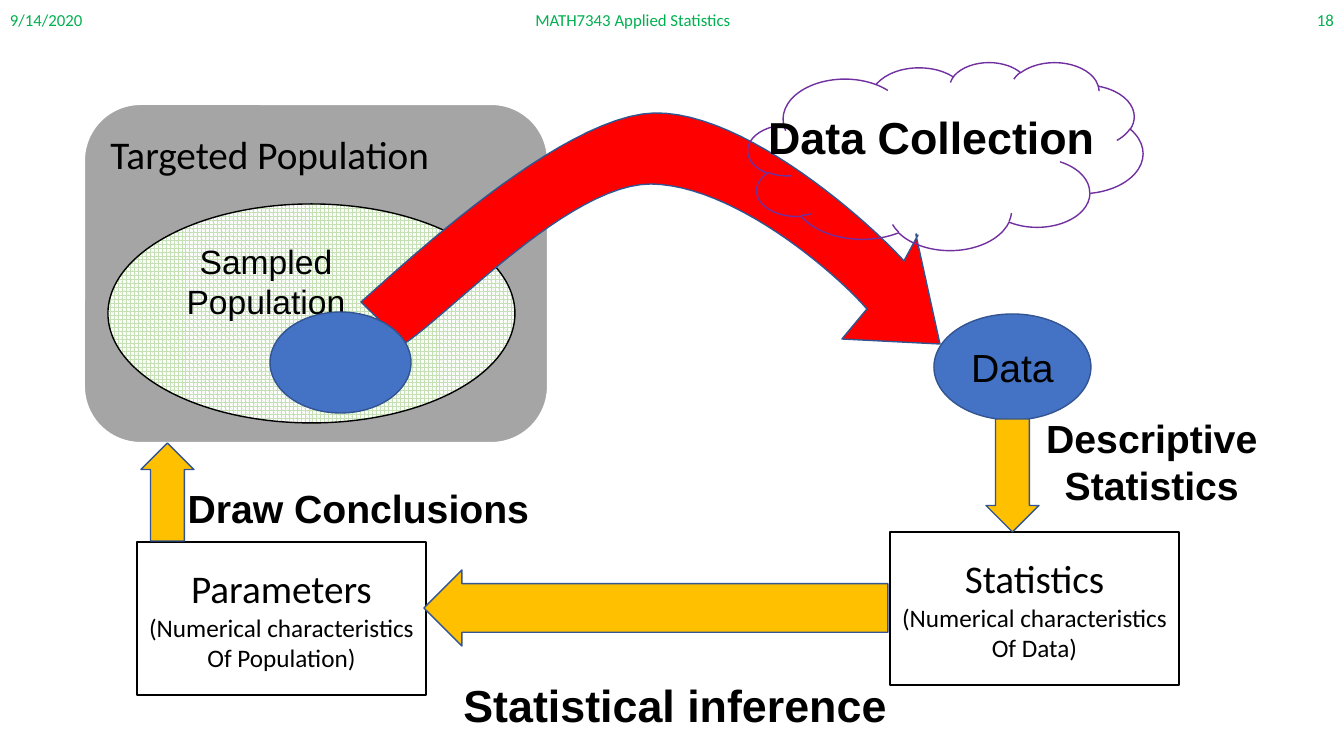
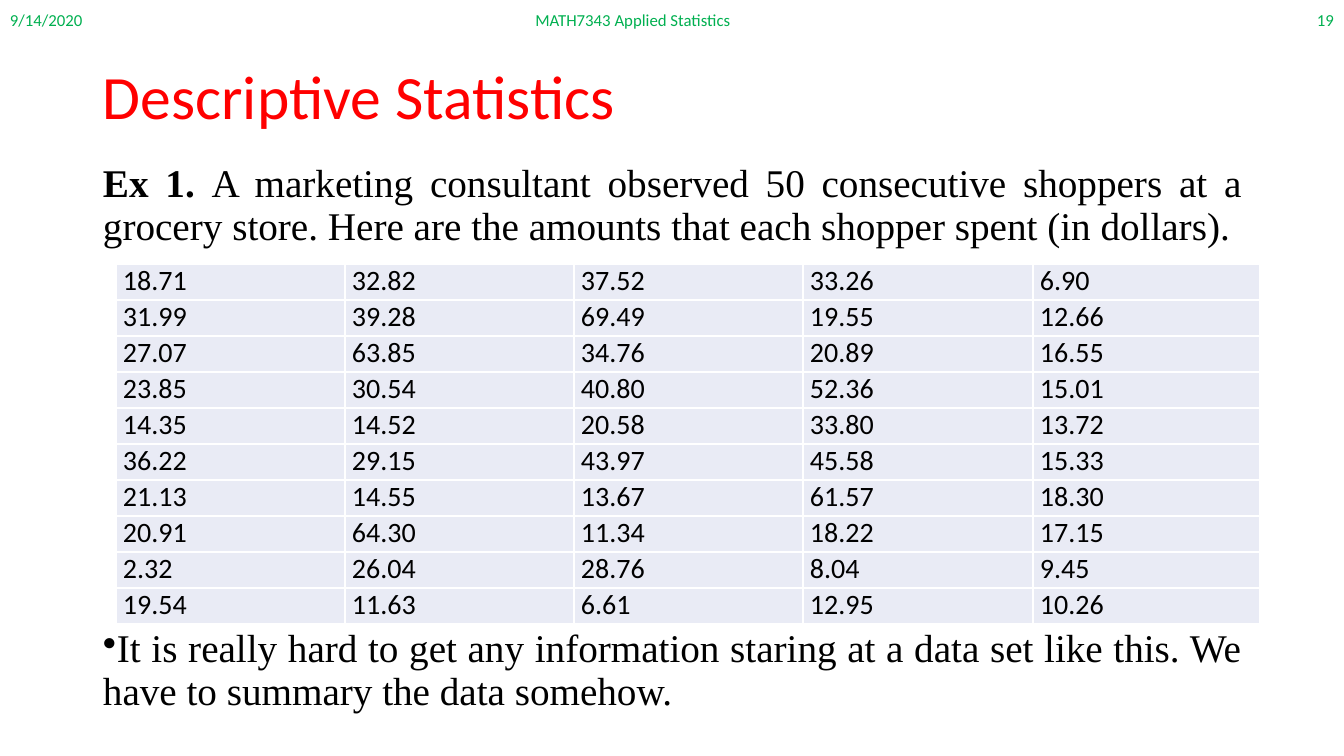
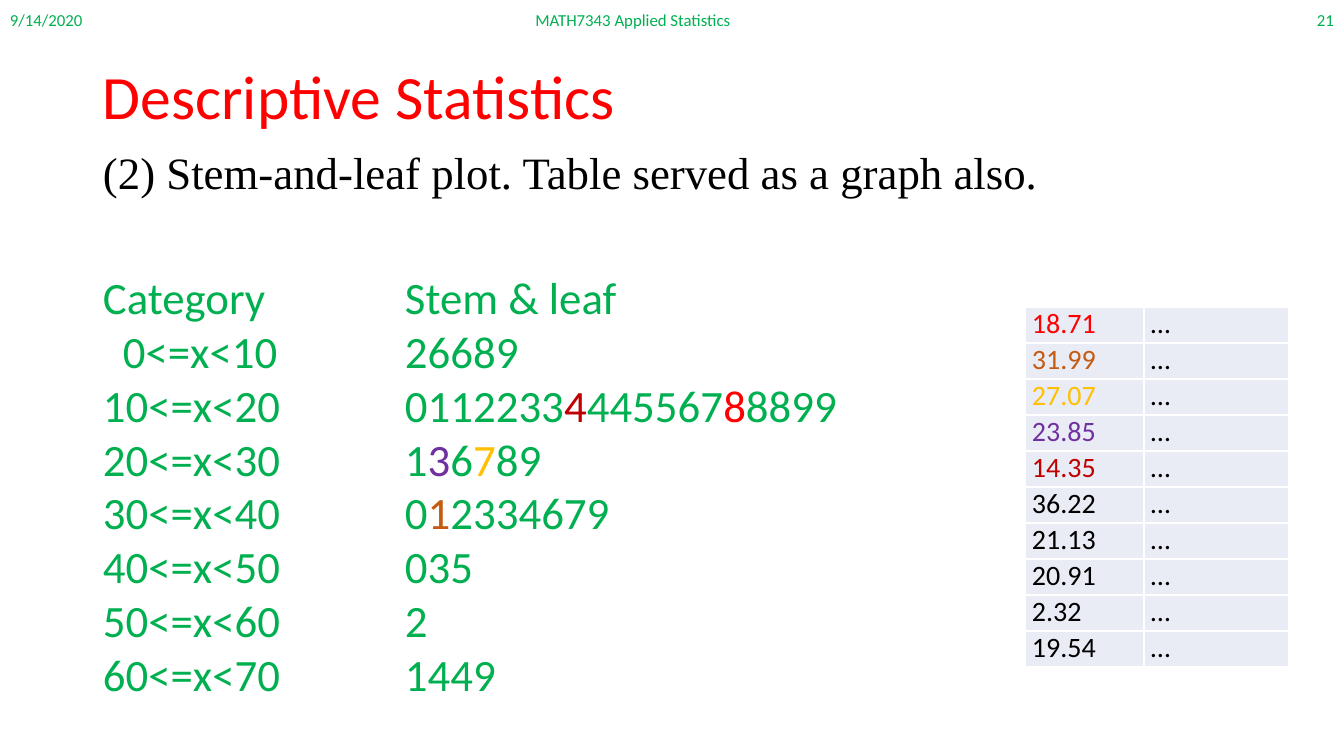
from dataclasses import dataclass
from typing import NamedTuple, Optional, Sequence

from lxml import etree
from pptx import Presentation
from pptx.dml.color import RGBColor
from pptx.enum.dml import MSO_PATTERN
from pptx.enum.shapes import MSO_SHAPE
from pptx.enum.text import MSO_ANCHOR, PP_ALIGN
from pptx.oxml.ns import qn
from pptx.util import Emu, Pt

EMU_PER_PX = 914400 / 100.8
SLIDE_WIDTH, SLIDE_HEIGHT = 1344, 756

LEFT, CENTER, RIGHT, JUSTIFY = PP_ALIGN.LEFT, PP_ALIGN.CENTER, PP_ALIGN.RIGHT, PP_ALIGN.JUSTIFY
TOP, MIDDLE = MSO_ANCHOR.TOP, MSO_ANCHOR.MIDDLE
RECTANGLE, ROUNDED = MSO_SHAPE.RECTANGLE, MSO_SHAPE.ROUNDED_RECTANGLE
ELLIPSE, CLOUD = MSO_SHAPE.OVAL, MSO_SHAPE.CLOUD
UP, DOWN, BACK = MSO_SHAPE.UP_ARROW, MSO_SHAPE.DOWN_ARROW, MSO_SHAPE.LEFT_ARROW
SPHERE = MSO_PATTERN.SPHERE

SANS, ARIAL, SERIF = "Calibri", "Arial", "Times New Roman"
COLORS = {
    "black": "000000",
    "white": "FFFFFF",
    "red": "FF0000",
    "dark red": "C00000",
    "green": "00B050",
    "pale green": "C5E0B4",
    "purple": "7030A0",
    "brown": "C55A11",
    "gold": "FFC000",
    "gray": "A5A5A5",
    "blue": "4472C4",
    "outline": "325491",
    "cell": "E9EBF5",
}


class Box(NamedTuple):
    left: int
    top: int
    width: int
    height: int


class Insets(NamedTuple):
    left: int = 10
    top: int = 5
    right: int = 10
    bottom: int = 5


class Run(NamedTuple):
    text: str
    color: Optional[str] = None
    bold: Optional[bool] = None


@dataclass(frozen=True)
class Line:
    """One paragraph; its runs name only what differs from it."""
    runs: Sequence[Run]
    size: int
    font: str = SANS
    color: str = "black"
    bold: bool = False
    align: PP_ALIGN = LEFT
    spacing: float = 1.0
    indent: int = 0
    bullet: str = ""


@dataclass(frozen=True)
class Node:
    """One preset shape of the diagram."""
    preset: MSO_SHAPE
    box: Box
    fill: Optional[str] = None
    outline: Optional[str] = None
    lines: Sequence[Line] = ()
    outline_width: float = 1
    anchor: MSO_ANCHOR = MIDDLE
    wrap: bool = True
    insets: Insets = Insets()


def px(length: float) -> Emu:
    return Emu(round(length * EMU_PER_PX))


def rgb(name: str) -> RGBColor:
    return RGBColor.from_string(COLORS[name])


def plain(text: str, size: int, **style) -> Line:
    return Line((Run(text),), size, **style)


def place(box: Box) -> list[Emu]:
    return [px(length) for length in box]


def write_lines(frame, lines: Sequence[Line]) -> None:
    for index, line in enumerate(lines):
        paragraph = frame.add_paragraph() if index else frame.paragraphs[0]
        paragraph.alignment = line.align
        paragraph.line_spacing = line.spacing
        font = paragraph.font
        font.name, font.size, font.bold = line.font, Pt(line.size), line.bold
        font.color.rgb = rgb(line.color)
        properties = paragraph._p.get_or_add_pPr()
        properties.set("marL", str(px(line.indent)))
        properties.set("indent", "0")
        if line.bullet:
            bullet = etree.Element(qn("a:buChar"), char=line.bullet)
            properties.find(qn("a:defRPr")).addprevious(bullet)
        for part in line.runs:
            run = paragraph.add_run()
            run.text = part.text
            if part.color:
                run.font.color.rgb = rgb(part.color)
            if part.bold is not None:
                run.font.bold = part.bold


def fill_frame(frame, lines: Sequence[Line], anchor: MSO_ANCHOR = TOP,
               wrap: bool = True, insets: Insets = Insets()) -> None:
    frame.word_wrap = wrap
    frame.vertical_anchor = anchor
    frame.margin_left, frame.margin_top, frame.margin_right, frame.margin_bottom = map(px, insets)
    write_lines(frame, lines)


def add_text(slide, box: Box, lines: Sequence[Line], anchor: MSO_ANCHOR = TOP) -> None:
    fill_frame(slide.shapes.add_textbox(*place(box)).text_frame, lines, anchor)


def style_shape(shape, fill: Optional[str], outline: Optional[str], width: float = 1) -> None:
    shape.shadow.inherit = False
    if fill:
        shape.fill.solid()
        shape.fill.fore_color.rgb = rgb(fill)
    else:
        shape.fill.background()
    if outline:
        shape.line.color.rgb = rgb(outline)
        shape.line.width = Pt(width)
    else:
        shape.line.fill.background()


def add_node(slide, node: Node):
    shape = slide.shapes.add_shape(node.preset, *place(node.box))
    style_shape(shape, node.fill, node.outline, node.outline_width)
    if node.preset in (UP, DOWN, BACK):
        shape.adjustments[0], shape.adjustments[1] = 0.64, 0.5
    if node.lines:
        fill_frame(shape.text_frame, node.lines, node.anchor, node.wrap, node.insets)
    return shape


def curve_points(start, first, second, end, steps: int = 24) -> list[tuple[float, float]]:
    """Points along a cubic Bézier curve, without its start."""
    points = []
    for step in range(1, steps + 1):
        t = step / steps
        weights = ((1 - t) ** 3, 3 * t * (1 - t) ** 2, 3 * t * t * (1 - t), t ** 3)
        corners = (start, first, second, end)
        points.append(tuple(sum(w * c[axis] for w, c in zip(weights, corners)) for axis in (0, 1)))
    return points


def add_curved_arrow(slide, start, segments) -> None:
    """Each segment holds one point for a straight line or three for a curve."""
    points = [start]
    for segment in segments:
        points += curve_points(points[-1], *segment) if len(segment) == 3 else segment
    outline = [(px(x), px(y)) for x, y in points]
    builder = slide.shapes.build_freeform(*outline[0])
    builder.add_line_segments(outline[1:], close=True)
    style_shape(builder.convert_to_shape(), "red", "outline")


def add_cell_borders(cell) -> None:
    properties = cell._tc.get_or_add_tcPr()
    for side in ("lnL", "lnR", "lnT", "lnB"):
        border = etree.SubElement(properties, qn(f"a:{side}"), w=str(Pt(1)))
        paint = etree.SubElement(border, qn("a:solidFill"))
        etree.SubElement(paint, qn("a:srgbClr"), val=COLORS["white"])


def add_data_table(slide, left: int, top: int, widths: Sequence[int],
                   rows: Sequence[Sequence[str]], colors: dict[str, str]) -> None:
    box = Box(left, top, sum(widths), ROW_HEIGHT * len(rows))
    table = slide.shapes.add_table(len(rows), len(widths), *place(box)).table
    table.first_row = table.horz_banding = False
    for column, width in zip(table.columns, widths):
        column.width = px(width)
    for row, values in zip(table.rows, rows):
        row.height = px(ROW_HEIGHT)
        for cell, value in zip(row.cells, values):
            add_cell_borders(cell)
            cell.fill.solid()
            cell.fill.fore_color.rgb = rgb("cell")
            cell.margin_left = cell.margin_right = px(7)
            cell.margin_top = cell.margin_bottom = 0
            color = colors.get(value, "black")
            write_lines(cell.text_frame, [plain(value, 20, color=color, align=JUSTIFY)])


def add_slide(presentation, number: int, title: str = ""):
    slide = presentation.slides.add_slide(presentation.slide_layouts[6])
    headers = (
        (0, 302, "9/14/2020", LEFT),
        (406, 454, "MATH7343 Applied Statistics", CENTER),
        (1042, 302, str(number), RIGHT),
    )
    for left, width, text, align in headers:
        line = plain(text, 12, color="green", align=align)
        add_text(slide, Box(left, 0, width, 40), [line], MIDDLE)
    if title:
        line = plain(title, 44, color="red", spacing=0.9)
        add_text(slide, Box(BODY_LEFT, 40, BODY_WIDTH, 119), [line], MIDDLE)
    return slide


def label(size: int, *texts: str, bold: bool = True) -> list[Line]:
    return [plain(text, size, font=ARIAL, bold=bold, align=CENTER) for text in texts]


def summary(heading: str, *details: str) -> list[Line]:
    return [plain(heading, 28, align=CENTER)] + [plain(text, 18, align=CENTER) for text in details]


BODY_LEFT, BODY_WIDTH = 93, 1159
ROW_HEIGHT = 36

TARGETED = Node(ROUNDED, Box(84, 104, 464, 339), "gray", "white",
                [plain("Targeted Population", 28)], 1.5, TOP, insets=Insets(top=10))
SAMPLED = Node(ELLIPSE, Box(108, 204, 407, 219), "white", "black",
               label(24, "Sampled", "Population", bold=False), anchor=TOP,
               insets=Insets(0, 5, 91, 5))
COLLECTION_START = (361, 302)
COLLECTION_SEGMENTS = (
    ((399, 269), (560, 116), (654, 113)),
    ((747, 111), (874, 227), (904, 261)),
    ((918, 235),),
    ((917, 240), (916, 231), (916, 235)),
    ((940, 344),),
    ((842, 339),),
    ((867, 309),),
    ((834, 271), (733, 185), (651, 184)),
    ((570, 184), (453, 311), (404, 344)),
)
FLOW = (
    Node(ELLIPSE, Box(270, 312, 141, 101), "blue", "outline"),
    Node(CLOUD, Box(748, 62, 395, 188), None, "purple", label(32, "Data Collection"),
         wrap=False, insets=Insets(bottom=35)),
    Node(ELLIPSE, Box(934, 314, 157, 106), "blue", "outline",
         label(28, "Data", bold=False), wrap=False),
    Node(CLOUD, Box(510, 658, 356, 98), lines=label(32, "Statistical inference"), wrap=False),
    Node(RECTANGLE, Box(890, 532, 289, 153), "white", "black",
         summary("Statistics", "(Numerical characteristics", "Of Data)")),
    Node(RECTANGLE, Box(137, 542, 289, 153), "white", "black",
         summary("Parameters", "(Numerical characteristics", "Of Population)")),
    Node(DOWN, Box(986, 419, 53, 113), "gold", "outline"),
    Node(BACK, Box(424, 570, 464, 76), "gold", "outline"),
    Node(UP, Box(141, 443, 53, 98), "gold", "outline"),
    Node(CLOUD, Box(1031, 415, 260, 98), lines=label(28, "Descriptive", "Statistics"), wrap=False),
    Node(CLOUD, Box(193, 461, 356, 98), lines=label(28, "Draw Conclusions"), wrap=False),
)

AMOUNTS = (
    ("18.71", "32.82", "37.52", "33.26", "6.90"),
    ("31.99", "39.28", "69.49", "19.55", "12.66"),
    ("27.07", "63.85", "34.76", "20.89", "16.55"),
    ("23.85", "30.54", "40.80", "52.36", "15.01"),
    ("14.35", "14.52", "20.58", "33.80", "13.72"),
    ("36.22", "29.15", "43.97", "45.58", "15.33"),
    ("21.13", "14.55", "13.67", "61.57", "18.30"),
    ("20.91", "64.30", "11.34", "18.22", "17.15"),
    ("2.32", "26.04", "28.76", "8.04", "9.45"),
    ("19.54", "11.63", "6.61", "12.95", "10.26"),
)
HIGHLIGHTS = {
    "18.71": "red",
    "31.99": "brown",
    "27.07": "gold",
    "23.85": "purple",
    "14.35": "dark red",
}
STEMS = (
    ("Category", [Run("Stem & leaf")]),
    ("0<=x<10", [Run("26689")]),
    ("10<=x<20", [Run("0112233"), Run("4", "dark red"), Run("445567"), Run("8", "red"),
                  Run("8899")]),
    ("20<=x<30", [Run("1"), Run("3", "purple"), Run("6"), Run("7", "gold"), Run("89")]),
    ("30<=x<40", [Run("0"), Run("1", "brown"), Run("2334679")]),
    ("40<=x<50", [Run("035")]),
    ("50<=x<60", [Run("2")]),
    ("60<=x<70", [Run("1449")]),
)


def add_process_slide(presentation) -> None:
    slide = add_slide(presentation, 18)
    add_node(slide, TARGETED)
    sampled = add_node(slide, SAMPLED)
    sampled.fill.patterned()
    sampled.fill.pattern = SPHERE
    sampled.fill.fore_color.rgb = rgb("pale green")
    sampled.fill.back_color.rgb = rgb("white")
    add_curved_arrow(slide, COLLECTION_START, COLLECTION_SEGMENTS)
    for node in FLOW:
        add_node(slide, node)


def add_example_slide(presentation) -> None:
    slide = add_slide(presentation, 19, "Descriptive Statistics")
    style = {"size": 28, "font": SERIF, "align": JUSTIFY, "spacing": 0.9}
    example = Line((
        Run("Ex 1. ", bold=True),
        Run("A marketing consultant observed 50 consecutive shoppers at a grocery store. "
            "Here are the amounts that each shopper spent (in dollars)."),
    ), **style)
    remark = plain("It is really hard to get any information staring at a data set like this. "
                   "We have to summary the data somehow.", bullet="•", **style)
    add_text(slide, Box(BODY_LEFT, 159, BODY_WIDTH, 100), [example])
    add_text(slide, Box(BODY_LEFT, 624, BODY_WIDTH, 100), [remark])
    add_data_table(slide, 116, 264, (229, 229, 229, 230, 227), AMOUNTS, {})


def add_stem_slide(presentation) -> None:
    slide = add_slide(presentation, 21, "Descriptive Statistics")
    heading = plain("(2) Stem-and-leaf plot. Table served as a graph also.", 32,
                    font=SERIF, spacing=0.9)
    add_text(slide, Box(BODY_LEFT, 146, BODY_WIDTH, 60), [heading])
    first_column = [(row[0], "…") for row in AMOUNTS]
    add_data_table(slide, 1025, 307, (119, 145), first_column, HIGHLIGHTS)
    categories = [plain(category, 32, color="green", indent=20 if category == "0<=x<10" else 0)
                  for category, _ in STEMS]
    leaves = [Line(runs, 32, color="green") for _, runs in STEMS]
    add_text(slide, Box(BODY_LEFT, 265, 302, 444), categories)
    add_text(slide, Box(BODY_LEFT + 302, 265, 518, 444), leaves)


def main() -> None:
    presentation = Presentation()
    presentation.slide_width, presentation.slide_height = px(SLIDE_WIDTH), px(SLIDE_HEIGHT)
    add_process_slide(presentation)
    add_example_slide(presentation)
    add_stem_slide(presentation)
    presentation.save("out.pptx")


if __name__ == "__main__":
    main()
